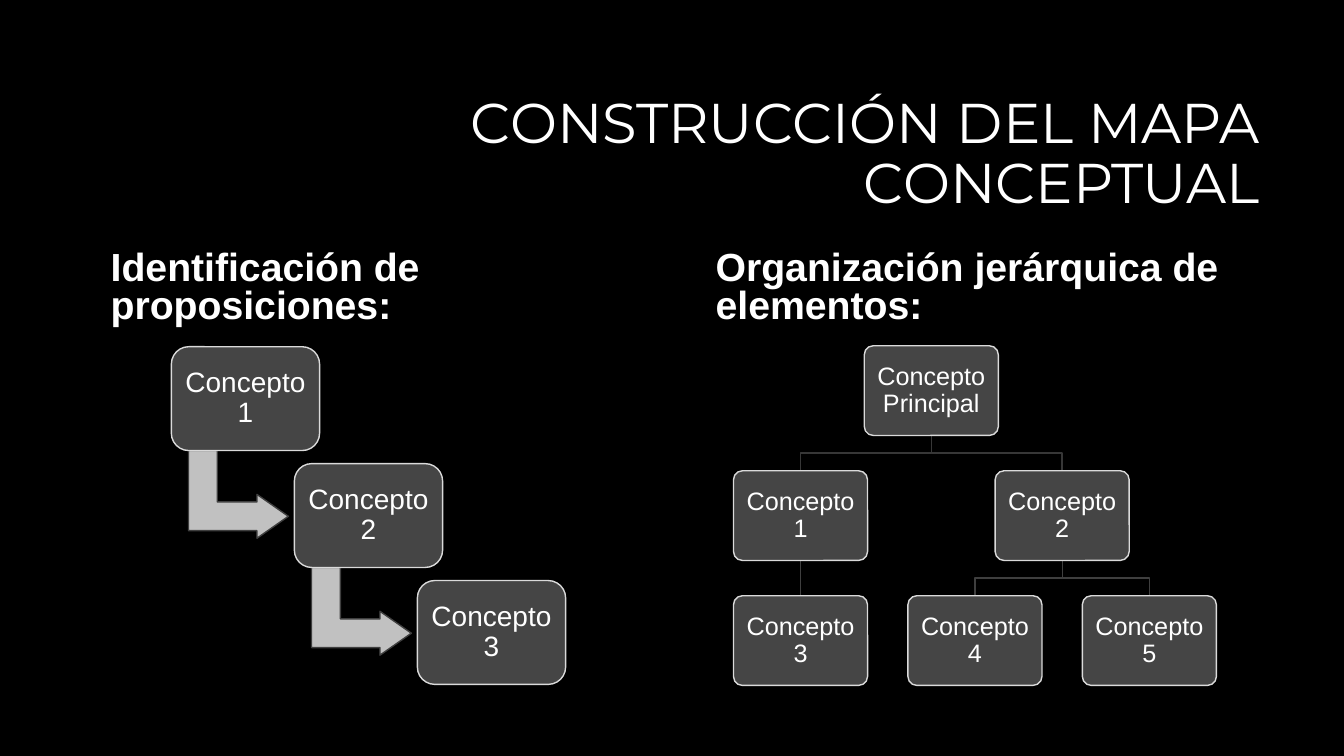
from pptx import Presentation
from pptx.dml.color import RGBColor
from pptx.enum.shapes import MSO_CONNECTOR, MSO_SHAPE
from pptx.enum.text import MSO_ANCHOR, PP_ALIGN
from pptx.oxml.ns import qn
from pptx.util import Inches, Pt

BLACK = RGBColor(0x00, 0x00, 0x00)
WHITE = RGBColor(0xFF, 0xFF, 0xFF)
BOX_FILL = RGBColor(0x45, 0x45, 0x45)
BOX_LINE = RGBColor(0xDA, 0xDA, 0xDA)
ARROW_FILL = RGBColor(0xC1, 0xC1, 0xC1)
ARROW_LINE = RGBColor(0x3F, 0x3F, 0x3F)
UPPER_BRANCH = RGBColor(0x37, 0x37, 0x37)
LOWER_BRANCH = RGBColor(0x3F, 0x3F, 0x3F)

ROUNDED = MSO_SHAPE.ROUNDED_RECTANGLE
BENT_ARROW = MSO_SHAPE.BENT_UP_ARROW
STRAIGHT = MSO_CONNECTOR.STRAIGHT
LEFT, CENTER, RIGHT = PP_ALIGN.LEFT, PP_ALIGN.CENTER, PP_ALIGN.RIGHT
MIDDLE, BOTTOM = MSO_ANCHOR.MIDDLE, MSO_ANCHOR.BOTTOM

# Staircase of propositions, in inches
STEP_LEFT, STEP_TOP = 1.7, 3.44
STEP_ACROSS, STEP_DOWN = 1.22, 1.16
STEP_WIDTH, STEP_HEIGHT = 1.47, 1.03

# Hierarchy: centre of the first column, top of the first row, and pitches
TREE_CENTER, TREE_TOP = 7.94, 3.43
TREE_COLUMN, TREE_ROW = 1.73, 1.24
NODE_WIDTH, NODE_HEIGHT = 1.33, 0.89

# Name: (label, column, row)
NODES = {
    "root": ("Concepto Principal", 0.75, 0),
    "1": ("Concepto 1", 0, 1),
    "2": ("Concepto 2", 1.5, 1),
    "3": ("Concepto 3", 0, 2),
    "4": ("Concepto 4", 1, 2),
    "5": ("Concepto 5", 2, 2),
}
BRANCHES = [("root", "1"), ("root", "2"), ("1", "3"), ("2", "4"), ("2", "5")]


def write(frame, text, size, align, anchor, spacing, font="Arial", bold=False):
    frame.word_wrap = True
    frame.vertical_anchor = anchor
    paragraph = frame.paragraphs[0]
    paragraph.text = text
    paragraph.alignment = align
    paragraph.line_spacing = spacing
    paragraph.font.name = font
    paragraph.font.size = Pt(size)
    paragraph.font.bold = bold
    paragraph.font.color.rgb = WHITE


def add_heading(slide, bounds, text, size, **style):
    heading = slide.shapes.add_textbox(*map(Inches, bounds))
    write(heading.text_frame, text, size, **style)


def add_filled(slide, kind, bounds, adjustments, fill, line):
    shape = slide.shapes.add_shape(kind, *map(Inches, bounds))
    for index, value in enumerate(adjustments):
        shape.adjustments[index] = value
    shape.shadow.inherit = False
    shape.fill.solid()
    shape.fill.fore_color.rgb = fill
    shape.line.color.rgb = line
    shape.line.width = Pt(1)
    return shape


def add_concept(slide, bounds, label, size, rounding, inset):
    concept = add_filled(slide, ROUNDED, bounds, [rounding], BOX_FILL, BOX_LINE)
    frame = concept.text_frame
    frame.margin_left = frame.margin_right = Inches(inset)
    frame.margin_top = frame.margin_bottom = Inches(inset)
    write(frame, label, size, CENTER, MIDDLE, 0.9)


def add_staircase(slide, labels):
    for step, label in enumerate(labels):
        left = STEP_LEFT + step * STEP_ACROSS
        top = STEP_TOP + step * STEP_DOWN
        if step < len(labels) - 1:
            arrow = add_filled(slide, BENT_ARROW, (left + 0.23, top + 0.97, 0.87, 0.99),
                               [0.328, 0.25, 0.358], ARROW_FILL, ARROW_LINE)
            arrow.rotation = 90
        add_concept(slide, (left, top, STEP_WIDTH, STEP_HEIGHT), label, 20, 0.167, 0.08)


def node_anchor(name):
    """Centre and top of a node of the hierarchy."""
    _, column, row = NODES[name]
    return TREE_CENTER + column * TREE_COLUMN, TREE_TOP + row * TREE_ROW


def add_branch(slide, parent, child):
    start_x, parent_top = node_anchor(parent)
    end_x, end_y = node_anchor(child)
    start_y = parent_top + NODE_HEIGHT
    if start_x == end_x:
        branch = slide.shapes.add_connector(
            STRAIGHT, *map(Inches, (start_x, start_y, end_x, end_y)))
        properties = branch._element.spPr
        properties.append(properties.makeelement(qn("a:effectLst"), {}))
    else:
        bend_y = (start_y + end_y) / 2
        outline = slide.shapes.build_freeform(Inches(start_x), Inches(start_y))
        corners = [(start_x, bend_y), (end_x, bend_y), (end_x, end_y)]
        outline.add_line_segments([(Inches(x), Inches(y)) for x, y in corners], close=False)
        branch = outline.convert_to_shape()
        branch.fill.background()
        branch.shadow.inherit = False
    branch.line.color.rgb = UPPER_BRANCH if parent == "root" else LOWER_BRANCH
    branch.line.width = Pt(1)


def add_hierarchy(slide):
    for parent, child in BRANCHES:
        add_branch(slide, parent, child)
    for name, (label, _, _) in NODES.items():
        center, top = node_anchor(name)
        bounds = (center - NODE_WIDTH / 2, top, NODE_WIDTH, NODE_HEIGHT)
        add_concept(slide, bounds, label, 18, 0.1, 0.07)


def main():
    presentation = Presentation()
    presentation.slide_width = Inches(13.33)
    presentation.slide_height = Inches(7.5)
    slide = presentation.slides.add_slide(presentation.slide_layouts[6])
    slide.background.fill.solid()
    slide.background.fill.fore_color.rgb = BLACK

    add_heading(slide, (3.17, 0.83, 9.42, 1.42), "CONSTRUCCIÓN DEL MAPA CONCEPTUAL", 40,
                align=RIGHT, anchor=MIDDLE, spacing=0.9, font="Montserrat")
    for left, text in [(1, "Identificación de proposiciones:"),
                       (7, "Organización jerárquica de elementos:")]:
        add_heading(slide, (left, 2.39, 5.57, 0.9), text, 28,
                    align=LEFT, anchor=BOTTOM, spacing=0.8, bold=True)
    add_staircase(slide, ["Concepto 1", "Concepto 2", "Concepto 3"])
    add_hierarchy(slide)
    presentation.save("out.pptx")


if __name__ == "__main__":
    main()
